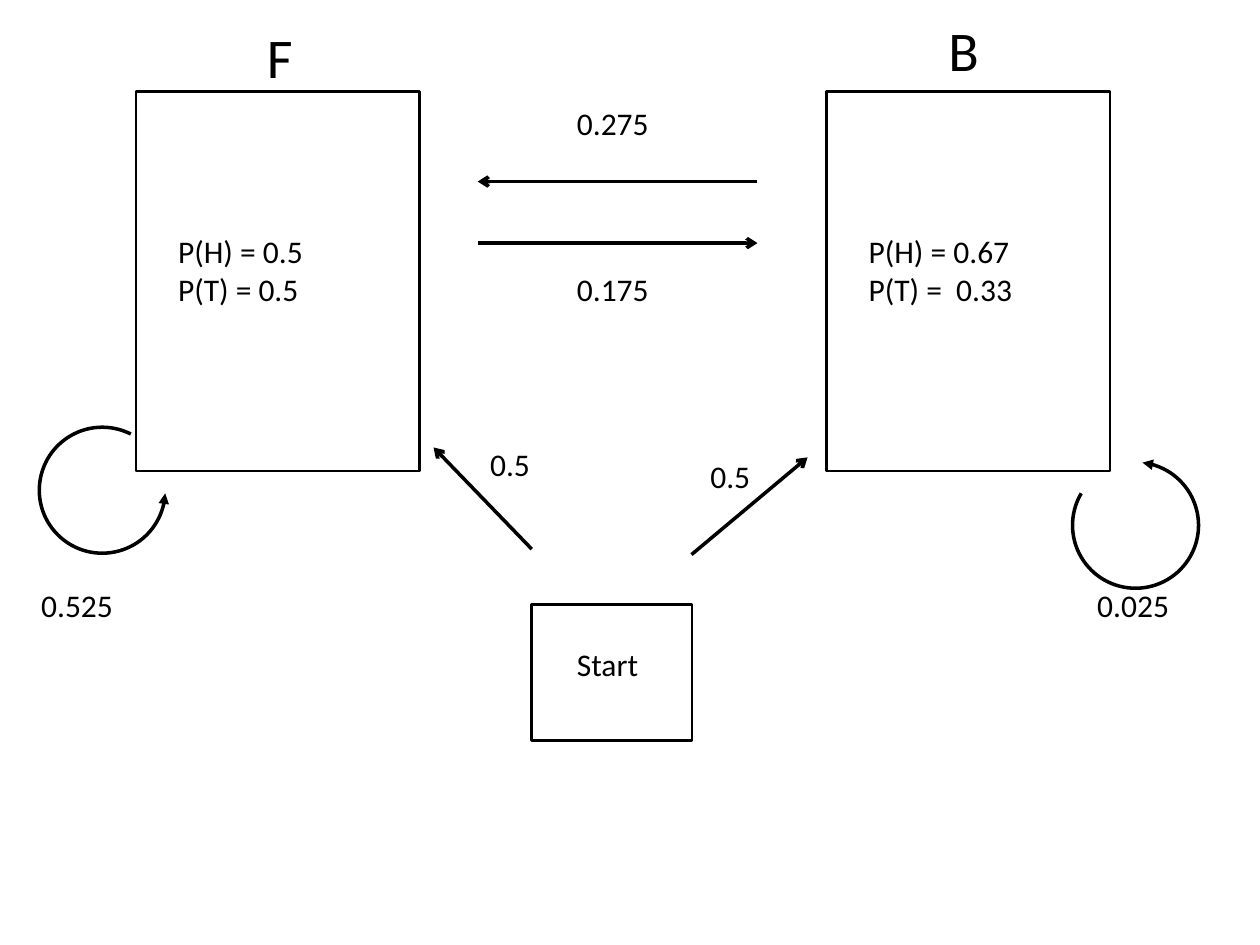
from pptx import Presentation
from pptx.dml.color import RGBColor
from pptx.enum.shapes import MSO_CONNECTOR as Connector, MSO_SHAPE as Shape
from pptx.enum.text import MSO_AUTO_SIZE as AutoSize
from pptx.oxml.ns import qn
from pptx.util import Cm, Pt
from lxml.etree import SubElement

BLACK = RGBColor(0, 0, 0)


class Diagram:
    font = "Calibri"
    label_size = 18
    heading_size = 32
    box_line = 1.5
    arrow_line = 2

    def __init__(self, page):
        self.page = page

    def outline(self, item, width):
        item.line.color.rgb = BLACK
        item.line.width = Pt(width)

    def arrowhead(self, item, end, kind):
        SubElement(item.line._get_or_add_ln(), qn(f"a:{end}"), type=kind)

    def shape(self, kind, left, top, width, height, line):
        item = self.page.shapes.add_shape(
            kind, Cm(left), Cm(top), Cm(width), Cm(height))
        item.shadow.inherit = False
        item.fill.background()
        self.outline(item, line)
        return item

    def box(self, left, top, width, height):
        return self.shape(Shape.RECTANGLE, left, top, width, height, self.box_line)

    def loop(self, left, top, rotation, diameter=2.54):
        arc = self.shape(Shape.ARC, left, top, diameter, diameter, self.arrow_line)
        arc.adjustments[0] = 118.82
        arc.adjustments[1] = 79.28
        arc.rotation = rotation
        self.arrowhead(arc, "headEnd", "triangle")

    def arrow(self, x1, y1, x2, y2):
        line = self.page.shapes.add_connector(
            Connector.STRAIGHT, Cm(x1), Cm(y1), Cm(x2), Cm(y2))
        self.outline(line, self.arrow_line)
        self.arrowhead(line, "tailEnd", "arrow")
        SubElement(line._element.spPr, qn("a:effectLst"))

    def text(self, lines, left, top, width=2.13, height=1.02, size=label_size):
        box = self.page.shapes.add_textbox(Cm(left), Cm(top), Cm(width), Cm(height))
        frame = box.text_frame
        frame.word_wrap = True
        frame.auto_size = AutoSize.SHAPE_TO_FIT_TEXT
        for index, line in enumerate(lines):
            para = frame.add_paragraph() if index else frame.paragraphs[0]
            span = para.add_run()
            span.text = line
            span.font.name = self.font
            span.font.size = Pt(size)
            span.font.color.rgb = BLACK

    def state(self, left, heading, heading_left, heading_top, odds):
        self.box(left, 1.85, 5.72, 7.65)
        self.text([heading], heading_left, heading_top, 2.13, 1.63, self.heading_size)
        self.text(odds, left + 0.6, 4.55, 4.11, 1.8)


def main():
    deck = Presentation()
    deck.slide_width, deck.slide_height = Cm(25.4), Cm(19.05)
    diagram = Diagram(deck.slides.add_slide(deck.slide_layouts[6]))

    diagram.state(2.74, "F", 5.13, 0.33, ["P(H) = 0.5", "P(T) = 0.5"])
    diagram.state(16.66, "B", 18.87, 0.18, ["P(H) = 0.67", "P(T) =  0.33"])
    diagram.box(10.72, 12.19, 3.23, 2.74)
    diagram.text(["Start"], 11.38, 12.88, 4.45)

    diagram.loop(0.79, 8.61, 164.8)
    diagram.loop(21.62, 9.32, 78.3)

    for ends in [(15.27, 3.66, 9.63, 3.66), (9.63, 4.9, 15.27, 4.9),
                 (10.72, 11.07, 8.74, 9.02), (13.94, 11.18, 16.28, 9.22)]:
        diagram.arrow(*ends)

    for label, left, top in [("0.275", 11.38, 1.98), ("0.175", 11.38, 5.31),
                             ("0.5", 9.63, 8.84), ("0.5", 14.07, 9.09),
                             ("0.525", 0.58, 11.68), ("0.025", 21.87, 11.68)]:
        diagram.text([label], left, top)

    deck.save("out.pptx")


if __name__ == "__main__":
    main()
